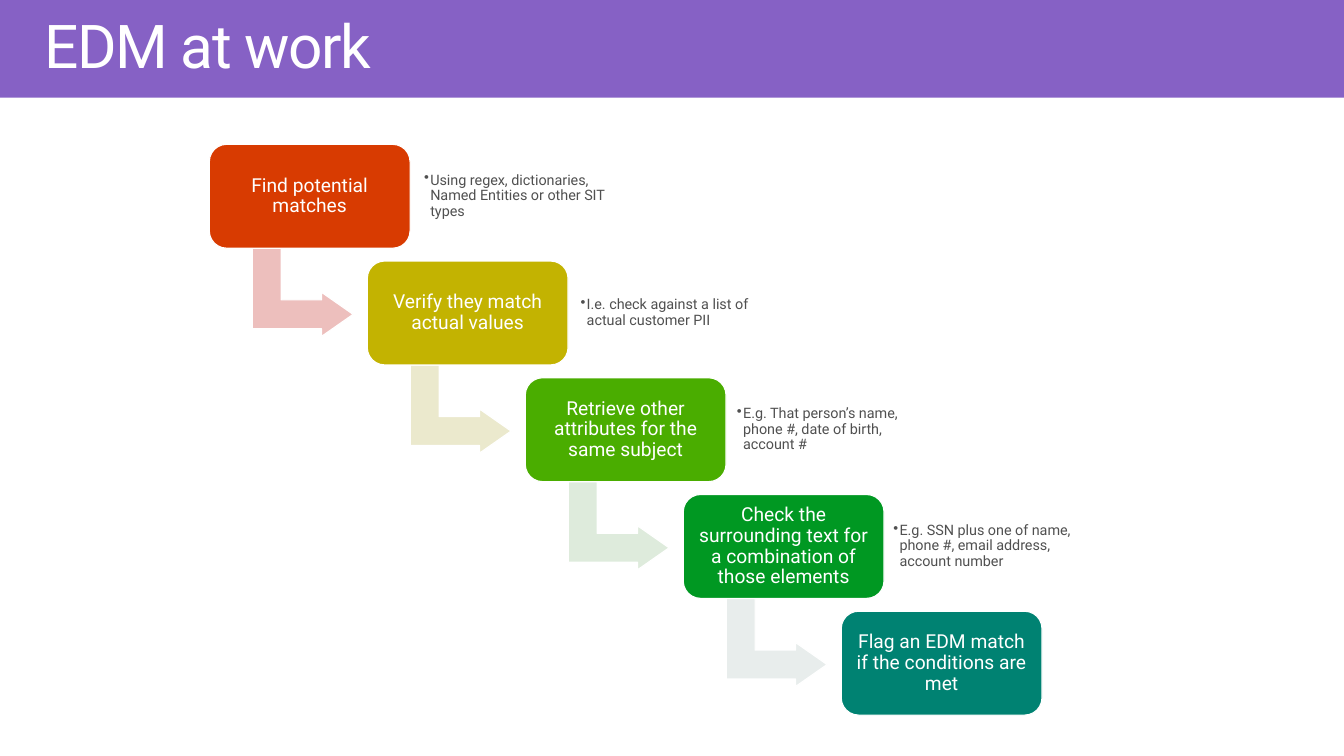
"""Build the "EDM at work" slide: five steps descending as a staircase."""
from lxml import etree
from pptx import Presentation
from pptx.dml.color import RGBColor
from pptx.enum.shapes import MSO_SHAPE
from pptx.enum.text import MSO_ANCHOR, MSO_AUTO_SIZE, PP_ALIGN
from pptx.oxml.ns import qn
from pptx.util import Cm, Pt

ROUNDED, BENT_ARROW = MSO_SHAPE.ROUNDED_RECTANGLE, MSO_SHAPE.BENT_UP_ARROW
TOP, MIDDLE = MSO_ANCHOR.TOP, MSO_ANCHOR.MIDDLE
LEFT, CENTER = PP_ALIGN.LEFT, PP_ALIGN.CENTER

THEME = {
    "font": "Roboto",
    "band": "8661C5", "white": "FFFFFF", "note": "505050",
    "title_pt": 44, "step_pt": 14, "note_pt": 10.5, "outline_pt": 0.85,
    "steps": ["D83B01", "C3B301", "4AAD00", "009822", "008272"],
    "arrows": ["EDBFBD", "EBE9CD", "DEEBDC", "E8EDEC"],
}
STEPS = [
    ("Find potential matches",
     "Using regex, dictionaries, Named Entities or other SIT types", 5.18),
    ("Verify they match actual values",
     "I.e. check against a list of actual customer PII", 4.88),
    ("Retrieve other attributes for the same subject",
     "E.g. That person’s name, phone #, date of birth, account #", 4.93),
    ("Check the surrounding text for a combination of those elements",
     "E.g. SSN plus one of name, phone #, email address, account number", 5.61),
    ("Flag an EDM match if the conditions are met", None, None),
]
STEP_X, STEP_Y, NOTE_STEP_X = 4.06, 3.0, 4.02


def write(shape, text, size, color, align, anchor, inset_x, inset_y):
    tf = shape.text_frame
    tf.text = text
    tf.word_wrap = True
    tf.vertical_anchor = anchor
    tf.margin_left = tf.margin_right = Cm(inset_x)
    tf.margin_top = tf.margin_bottom = Cm(inset_y)
    p = tf.paragraphs[0]
    p.alignment = align
    p.line_spacing = 0.9
    r = p.runs[0]
    r.font.name = THEME["font"]
    r.font.size = Pt(THEME[size])
    r.font.color.rgb = RGBColor.from_string(THEME[color])
    return p


def add_block(kind, x, y, w, h, color, adjustments):
    sp = s.shapes.add_shape(kind, Cm(x), Cm(y), Cm(w), Cm(h))
    sp.shadow.inherit = False
    sp.fill.solid()
    sp.fill.fore_color.rgb = RGBColor.from_string(color)
    sp.line.color.rgb = RGBColor.from_string(THEME["white"])
    sp.line.width = Pt(THEME["outline_pt"])
    for i, value in enumerate(adjustments):
        sp.adjustments[i] = value
    return sp


prs = Presentation()
prs.slide_width, prs.slide_height = Cm(34.54), Cm(19.43)
s = prs.slides.add_slide(prs.slide_layouts[5])

title = s.shapes.title
title.left, title.top, title.width, title.height = 0, 0, prs.slide_width, Cm(2.51)
title.fill.solid()
title.fill.fore_color.rgb = RGBColor.from_string(THEME["band"])
p = write(title, "EDM at work", "title_pt", "white", LEFT, TOP, 1.14, 0.41)
p.runs[0].font._element.set("spc", "-100")
title.text_frame.auto_size = MSO_AUTO_SIZE.NONE

for i, (step, note, note_width) in enumerate(STEPS):
    x, y = 5.38 + i * STEP_X, 3.71 + i * STEP_Y
    if note:
        arrow = add_block(BENT_ARROW, x + 1.27, y + 2.51, 2.26, 2.59,
                          THEME["arrows"][i], [0.328, 0.25, 0.358])
        arrow.rotation = 90
    box = add_block(ROUNDED, x, y, 5.16, 2.67, THEME["steps"][i], [0.167])
    write(box, step, "step_pt", "white", CENTER, MIDDLE, 0.15, 0.15)
    if note:
        tb = s.shapes.add_textbox(Cm(10.77 + i * NOTE_STEP_X), Cm(y + 0.25),
                                  Cm(note_width), Cm(2.16))
        p = write(tb, note, "note_pt", "note", LEFT, MIDDLE, 0.13, 0.13)
        pPr = p._p.get_or_add_pPr()
        pPr.set("marL", str(Cm(0.16)))
        pPr.set("indent", str(-Cm(0.16)))
        etree.SubElement(pPr, qn("a:buChar")).set("char", "•")

prs.save("out.pptx")
